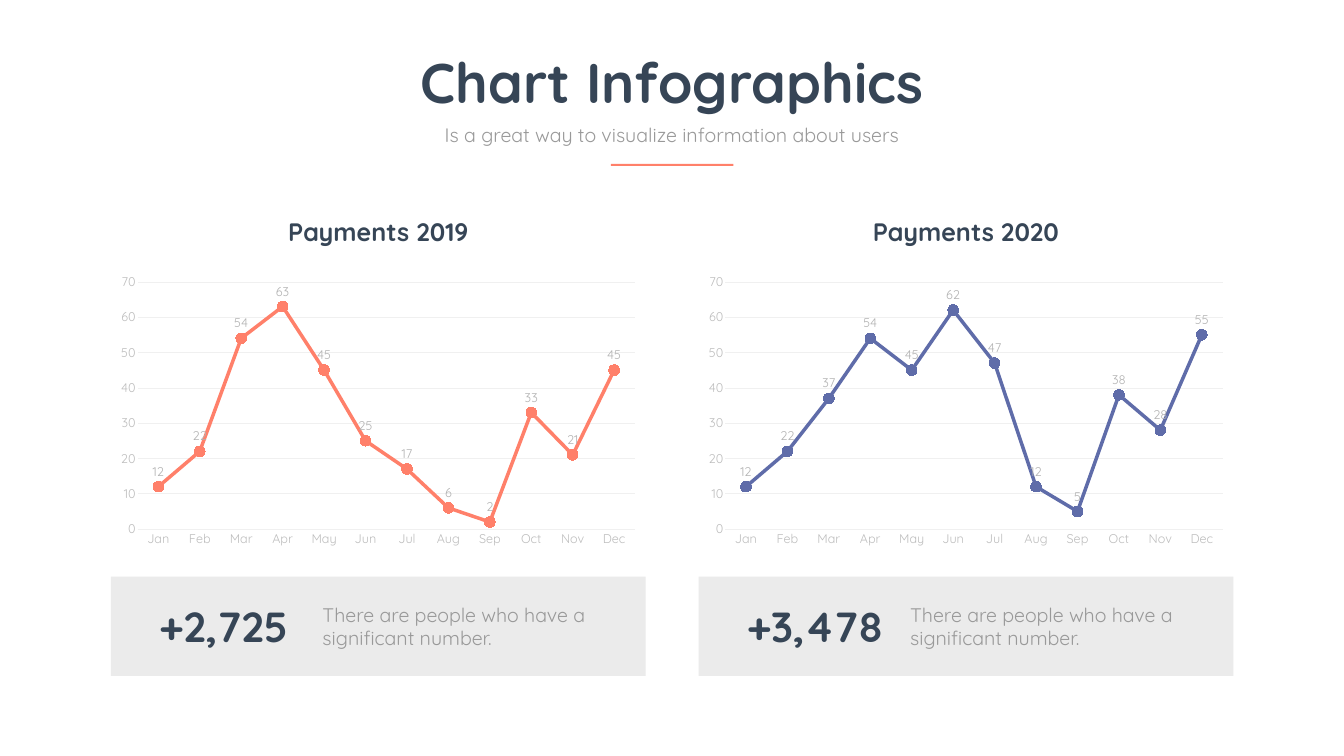
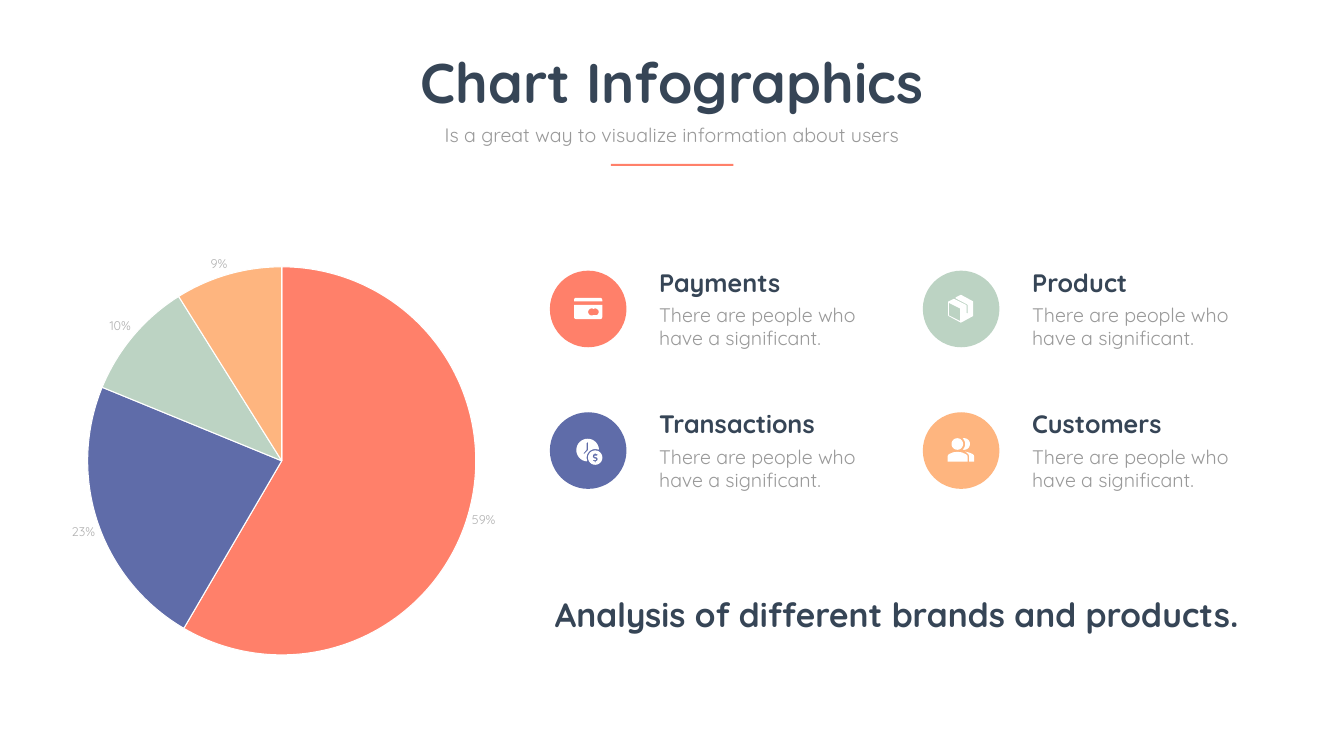
from dataclasses import dataclass
from math import cos, radians, sin

from lxml import etree
from pptx import Presentation
from pptx.chart.data import CategoryChartData
from pptx.dml.color import RGBColor
from pptx.enum.chart import XL_CHART_TYPE, XL_LABEL_POSITION, XL_MARKER_STYLE, XL_TICK_MARK
from pptx.enum.shapes import MSO_SHAPE
from pptx.enum.text import MSO_AUTO_SIZE, PP_ALIGN
from pptx.oxml.ns import qn
from pptx.util import Emu, Pt

CELL = 152400
COLUMNS, ROWS = 160, 90
FONT = "Quicksand"
COLORS = {
    "ink": "364556", "muted": "999999", "label": "B2B2B2", "axis": "BDBDBD",
    "grid": "F0F0F0", "band": "EBEBEB", "white": "FFFFFF",
    "coral": "FF806A", "indigo": "5F6CA9", "sage": "BCD3C3", "apricot": "FEB57F",
}
STYLES = {
    "title": {"size": Pt(80), "bold": True},
    "figure": {"size": Pt(60), "bold": True},
    "closing": {"size": Pt(48), "bold": True},
    "heading": {"size": Pt(36), "bold": True},
    "caption": {"size": Pt(28), "bold": False},
    "chart": {"size": Pt(18), "bold": False},
}
FRAME = {"word_wrap": True, "auto_size": MSO_AUTO_SIZE.SHAPE_TO_FIT_TEXT}
MONTHS = ["Jan", "Feb", "Mar", "Apr", "May", "Jun",
          "Jul", "Aug", "Sep", "Oct", "Nov", "Dec"]
PANELS = [
    ("Payments 2019", "coral", [12, 22, 54, 63, 45, 25, 17, 6, 2, 33, 21, 45], "+2,725"),
    ("Payments 2020", "indigo", [12, 22, 37, 54, 45, 62, 47, 12, 5, 38, 28, 55], "+3,478"),
]
SHARES = {"coral": 59, "indigo": 23, "sage": 10, "apricot": 9}


@dataclass
class Box:
    left: float
    top: float
    width: float
    height: float

    def inner(self, dx, dy, width, height):
        return Box(self.left + dx, self.top + dy, width, height)

    def emu(self):
        return [Emu(round(v * CELL)) for v in (self.left, self.top, self.width, self.height)]


def arc(cx, cy, radius, start, end, steps=24):
    angles = [radians(start + (end - start) * i / steps) for i in range(steps + 1)]
    return [(cx + radius * cos(a), cy + radius * sin(a)) for a in angles]


ICONS = {
    "card": [
        [[(-28, -15)] + arc(-24, -18, 4, 180, 270) + arc(24, -18, 4, 270, 360) + [(28, -15)]],
        [[(-28, -8), (28, -8)] + arc(24, 16, 4, 0, 90) + arc(-24, 16, 4, 90, 180),
         arc(7, 6, 7, 60, 300) + arc(14, 6, 7, 240, 420)],
    ],
    "clock": [
        [arc(-1, -1, 22.5, 95, 356) + arc(14, 14, 17, -68, -200),
         [(-3, -2), (-3, -15), (-1.5, -17), (0, -15), (0, -1), (-8, 7), (-9.5, 5.5)]],
        [arc(14, 14, 14.3, 0, 360),
         [(13, 13), (15, 13), (18, 14), (19, 17), (18, 20), (15, 21), (15, 23), (14, 24),
          (13, 23), (13, 21), (10, 21), (9, 20), (10, 19), (15, 19), (16, 17), (15, 16),
          (13, 16), (10, 14), (9, 11), (10, 8), (13, 7), (13, 6), (14, 5), (15, 6),
          (15, 7), (18, 7), (19, 8), (18, 10), (13, 10), (12, 11)]],
    ],
    "parcel": [
        [[(24, -15), (0, -28), (-1, -28), (-11, -23), (-11, -21), (12, -9), (13, -8),
          (13, 8), (12, 9), (11, 8), (11, -7), (10, -8), (-14, -20), (-15, -20),
          (-25, -15), (-26, -14), (-26, 13), (-25, 14), (-1, 27), (0, 27), (24, 14)],
         [(-2, 24), (-24, 13), (-24, -12), (-2, -1)]],
    ],
    "people": [
        [[(8, 2), (11, 4), (15, 8), (16, 13), (16, 22), (26, 22), (26, 13), (25, 9),
          (23, 7), (16, 4)]],
        [[(-27, 22), (-27, 13), (-26, 9), (-24, 7), (-16, 3.5), (-7.5, 2.5), (1, 3.5),
          (9, 7), (12, 9), (13, 13), (13, 22)]],
        [arc(6, -13, 11.5, -106, 106) + arc(-7, -13, 15, 47, -47)],
        [arc(-7.5, -13, 11.5, 0, 360)],
    ],
}
ITEMS = [
    [("Payments", "coral", "card"), ("Product", "sage", "parcel")],
    [("Transactions", "indigo", "clock"), ("Customers", "apricot", "people")],
]


def rgb(color):
    return RGBColor.from_string(COLORS[color])


def assign(target, values):
    for name, value in values.items():
        setattr(target, name, value)


def style_font(font, style, color):
    assign(font, {"name": FONT, **STYLES[style]})
    font.color.rgb = rgb(color)


def paint(shape, color):
    shape.shadow.inherit = False
    shape.fill.solid()
    shape.fill.fore_color.rgb = rgb(color)
    shape.line.fill.background()


def add_text(slide, box, text, style, color="ink", align=PP_ALIGN.LEFT):
    frame = slide.shapes.add_textbox(*box.emu()).text_frame
    assign(frame, FRAME)
    paragraph = frame.paragraphs[0]
    paragraph.text = text
    paragraph.alignment = align
    style_font(paragraph.font, style, color)


def add_block(slide, box, preset, color):
    block = slide.shapes.add_shape(preset, *box.emu())
    paint(block, color)


def add_chart(slide, box, kind, categories, values, plot_shares):
    data = CategoryChartData()
    data.categories = categories
    data.add_series("Series 1", values)
    chart = slide.shapes.add_chart(kind, *box.emu(), data).chart
    assign(chart, {"has_title": False, "has_legend": False})
    style_font(chart.font, "chart", "muted")
    plot = chart.plots[0]
    assign(plot, {"vary_by_categories": kind == XL_CHART_TYPE.PIE, "has_data_labels": True})
    style_font(plot.data_labels.font, "chart", "label")
    area = chart.element.find(".//" + qn("c:plotArea"))
    for layout in area.findall(qn("c:layout")):
        area.remove(layout)
    layout = etree.Element(qn("c:layout"))
    area.insert(0, layout)
    manual = etree.SubElement(layout, qn("c:manualLayout"))
    settings = {"layoutTarget": "inner", "xMode": "edge", "yMode": "edge",
                **dict(zip("xywh", plot_shares))}
    for tag, value in settings.items():
        etree.SubElement(manual, qn("c:" + tag)).set("val", str(value))
    return chart, plot


def add_header(slide, box):
    add_text(slide, box.inner(0, 0, box.width, 8.7), "Chart Infographics", "title",
             align=PP_ALIGN.CENTER)
    add_text(slide, box.inner(10.02, 8.88, 57.36, 3.42),
             "Is a great way to visualize information about users", "caption", "muted",
             PP_ALIGN.CENTER)
    add_block(slide, box.inner(31.44, 14.1, 14.58, 0.24), MSO_SHAPE.RECTANGLE, "coral")


def add_line_chart(slide, box, color, values):
    chart, plot = add_chart(slide, box, XL_CHART_TYPE.LINE_MARKERS, MONTHS, values,
                            (0.05, 0.05, 0.93, 0.87))
    assign(plot.data_labels, {"show_value": True, "position": XL_LABEL_POSITION.ABOVE})
    months, amounts = chart.category_axis, chart.value_axis
    for axis in (months, amounts):
        assign(axis, {"major_tick_mark": XL_TICK_MARK.NONE, "minor_tick_mark": XL_TICK_MARK.NONE})
        style_font(axis.tick_labels.font, "chart", "axis")
    assign(amounts, {"minimum_scale": 0, "maximum_scale": 70, "major_unit": 10,
                     "has_major_gridlines": True})
    amounts.format.line.fill.background()
    payments = plot.series[0]
    payments.smooth = False
    assign(payments.marker, {"style": XL_MARKER_STYLE.CIRCLE, "size": 15})
    payments.marker.format.fill.solid()
    payments.marker.format.fill.fore_color.rgb = rgb(color)
    for line, tint, width in ((months.format.line, "grid", 0.75),
                              (amounts.major_gridlines.format.line, "grid", 0.75),
                              (payments.format.line, color, 5),
                              (payments.marker.format.line, color, 0.75)):
        line.color.rgb = rgb(tint)
        line.width = Pt(width)


def add_payment_panel(slide, box, heading, color, values, figure):
    add_text(slide, box.inner(8.58, 0, 46.5, 4.26), heading, "heading", align=PP_ALIGN.CENTER)
    add_line_chart(slide, box.inner(0, 6.42, box.width, 33.84), color, values)
    band = box.inner(0, 43.2, box.width, 11.82)
    add_block(slide, band, MSO_SHAPE.RECTANGLE, "band")
    add_text(slide, band.inner(5.16, 2.58, 20.34, 6.66), figure, "figure")
    add_text(slide, band.inner(24.6, 2.82, 33.9, 6.24),
             "There are people who have a significant number.", "caption", "muted")


def add_pie(slide, box):
    _, plot = add_chart(slide, box, XL_CHART_TYPE.PIE, ["1", "2", "3", "4"],
                        list(SHARES.values()), (0.17, 0.05, 0.66, 0.93))
    assign(plot.data_labels, {"show_value": True, "show_percentage": False,
                              "number_format": '0"%"', "number_format_is_linked": False,
                              "position": XL_LABEL_POSITION.OUTSIDE_END})
    for index, color in enumerate(SHARES):
        wedge = plot.series[0].points[index].format
        wedge.fill.solid()
        wedge.fill.fore_color.rgb = rgb(color)
        wedge.line.color.rgb = rgb("white")
        wedge.line.width = Pt(1.5)


def add_icon(slide, badge, icon):
    left, top, width, height = badge.emu()
    step = width / 152
    for contours in ICONS[icon]:
        builder = None
        for contour in contours:
            points = [(round(left + width / 2 + x * step), round(top + height / 2 + y * step))
                      for x, y in contour]
            if builder is None:
                builder = slide.shapes.build_freeform(*points[0], scale=1.0)
            else:
                builder.move_to(*points[0])
            builder.add_line_segments(points[1:], close=True)
        paint(builder.convert_to_shape(), "white")


def add_item(slide, box, heading, color, icon):
    badge = box.inner(0, 0.72, 9.12, 9.12)
    add_block(slide, badge, MSO_SHAPE.OVAL, color)
    add_icon(slide, badge, icon)
    add_text(slide, box.inner(12.42, 4.26, 28.68, 6.24),
             "There are people who have a significant.", "caption", "muted")
    add_text(slide, box.inner(12.42, 0, 28.68, 4.26), heading, "heading")


def build_payments_slide(slide, page):
    add_header(slide, page.inner(41.28, 5.4, 77.46, 14.34))
    for column, panel in enumerate(PANELS):
        add_payment_panel(slide, page.inner(13.2 + 69.96 * column, 25.44, 63.66, 55.02), *panel)


def build_shares_slide(slide, page):
    add_header(slide, page.inner(41.28, 5.4, 77.46, 14.34))
    add_pie(slide, page.inner(-1.5, 29.28, 70.08, 49.68))
    for row, items in enumerate(ITEMS):
        for column, item in enumerate(items):
            add_item(slide, page.inner(65.46 + 44.4 * column, 31.5 + 16.86 * row, 41.1, 10.5),
                     *item)
    add_text(slide, page.inner(65.46, 70.38, 85.56, 5.46),
             "Analysis of different brands and products.", "closing")


def main():
    deck = Presentation()
    assign(deck, {"slide_width": Emu(COLUMNS * CELL), "slide_height": Emu(ROWS * CELL)})
    for build in (build_payments_slide, build_shares_slide):
        build(deck.slides.add_slide(deck.slide_layouts[6]), Box(0, 0, COLUMNS, ROWS))
    deck.save("out.pptx")


if __name__ == "__main__":
    main()
